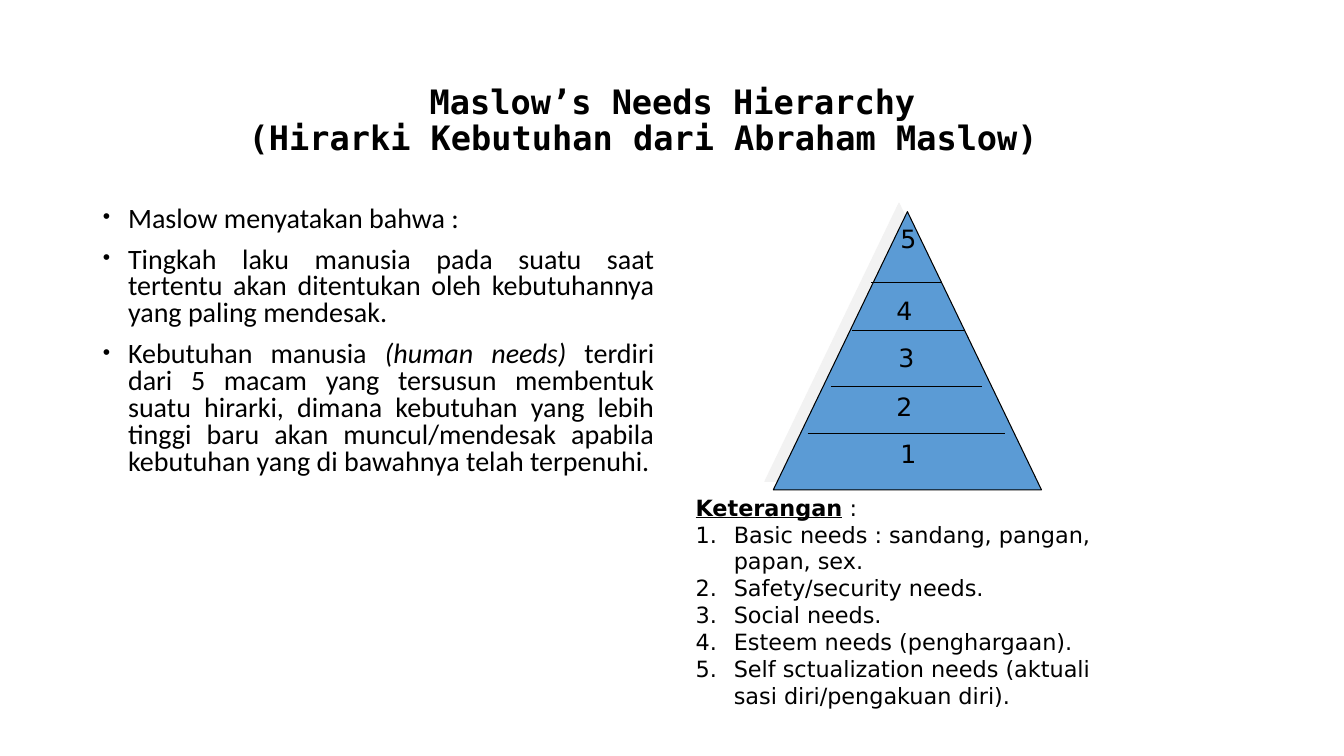
from dataclasses import dataclass
from typing import Any

import pptx
import pptx.dml.color
import pptx.enum.shapes
import pptx.enum.text
import pptx.oxml
import pptx.oxml.ns
import pptx.util

Inches = pptx.util.Inches
Pt = pptx.util.Pt
Align = pptx.enum.text.PP_ALIGN
Anchor = pptx.enum.text.MSO_ANCHOR
AutoSize = pptx.enum.text.MSO_AUTO_SIZE

BLACK = "000000"
BLUE = "5B9BD5"
SHADOW = "E7E6E6"
SANS = "DejaVu Sans"
MONO = "DejaVu Sans Mono"


@dataclass
class Level:
    number: str
    left: float
    top: float


@dataclass
class Divider:
    x1: float
    x2: float
    y: float


LEVELS = [
    Level("1", 8.83, 4.3),
    Level("2", 8.79, 3.83),
    Level("3", 8.81, 3.35),
    Level("4", 8.79, 2.88),
    Level("5", 8.83, 2.17),
]
DIVIDERS = [
    Divider(8.01, 9.97, 4.3),
    Divider(8.24, 9.74, 3.83),
    Divider(8.45, 9.57, 3.28),
    Divider(8.64, 9.34, 2.8),
]
TITLE = ["Maslow’s Needs Hierarchy", "(Hirarki Kebutuhan dari Abraham Maslow)"]
BODY = [
    [("Maslow menyatakan bahwa :", False)],
    [("Tingkah laku manusia pada suatu saat tertentu akan ditentukan oleh "
      "kebutuhannya yang paling mendesak.", False)],
    [("Kebutuhan manusia ", False), ("(human needs)", True),
     (" terdiri dari 5 macam yang tersusun membentuk suatu hirarki, dimana "
      "kebutuhan yang lebih tinggi baru akan muncul/mendesak apabila kebutuhan "
      "yang di bawahnya telah terpenuhi.", False)],
]
NEEDS = [
    ["Basic needs : sandang, pangan,", "papan, sex."],
    ["Safety/security needs."],
    ["Social needs."],
    ["Esteem needs (penghargaan)."],
    ["Self sctualization needs (aktuali", "sasi diri/pengakuan diri)."],
]


def rgb(color: str) -> pptx.dml.color.RGBColor:
    return pptx.dml.color.RGBColor.from_string(color)


def place(sp: Any, left: float, top: float, width: float, height: float) -> None:
    sp.left, sp.top = Inches(left), Inches(top)
    sp.width, sp.height = Inches(width), Inches(height)


def add_xml(parent: Any, xml: str) -> None:
    tag, rest = xml.split(" ", 1)
    ns = pptx.oxml.ns.nsdecls("a")
    parent.append(pptx.oxml.parse_xml(f"{tag} {ns} {rest}"))


def add_run(p: Any, text: str, size: float, font: str, bold: bool = False,
            italic: bool = False, underline: bool = False) -> None:
    r = p.add_run()
    r.text = text
    r.font.size, r.font.name = Pt(size), font
    r.font.bold, r.font.italic, r.font.underline = bold, italic, underline
    r.font.color.rgb = rgb(BLACK)


def add_paragraph(tf: Any, index: int) -> Any:
    return tf.add_paragraph() if index else tf.paragraphs[0]


def set_indent(p: Any, left: float, first: float) -> Any:
    pPr = p._p.get_or_add_pPr()
    pPr.set("marL", str(Inches(left)))
    pPr.set("indent", str(Inches(first)))
    return pPr


def add_title(sp: Any) -> None:
    place(sp, 2.17, 0.66, 8.42, 0.96)
    tf = sp.text_frame
    tf.auto_size, tf.vertical_anchor = AutoSize.NONE, Anchor.BOTTOM
    for i, line in enumerate(TITLE):
        p = add_paragraph(tf, i)
        set_indent(p, 0 if i else 0.58, 0)
        p.alignment, p.line_spacing = Align.CENTER, 0.9
        p.space_before = Pt(0)
        add_run(p, line, 24, MONO, bold=True)


def add_body(sp: Any) -> None:
    place(sp, 0.92, 2, 5.67, 4.76)
    tf = sp.text_frame
    tf.auto_size = AutoSize.NONE
    for i, runs in enumerate(BODY):
        p = add_paragraph(tf, i)
        pPr = set_indent(p, 0.25, -0.25)
        add_xml(pPr, '<a:buSzPct val="75000"/>')
        add_xml(pPr, '<a:buFont typeface="Arial"/>')
        add_xml(pPr, '<a:buChar char="•"/>')
        p.alignment, p.line_spacing = Align.JUSTIFY, 0.8
        p.space_before = Pt(10 if i else 0)
        for text, italic in runs:
            add_run(p, text, 20, "Calibri", italic=italic)


def add_pyramid(s: Any) -> None:
    shape = pptx.enum.shapes.MSO_SHAPE.ISOSCELES_TRIANGLE
    sp = s.shapes.add_shape(shape, Inches(7.67), Inches(2.1), Inches(2.66), Inches(2.76))
    sp.fill.solid()
    sp.fill.fore_color.rgb = rgb(BLUE)
    sp.line.color.rgb = rgb(BLACK)
    sp.line.width = Pt(0.75)
    sp.shadow.inherit = False
    effects = sp._element.spPr.find(pptx.oxml.ns.qn("a:effectLst"))
    add_xml(effects, f'<a:outerShdw blurRad="0" dist="{Pt(8.5)}" dir="{225 * 60000}" '
                     f'algn="ctr" rotWithShape="0"><a:srgbClr val="{SHADOW}">'
                     '<a:alpha val="50000"/></a:srgbClr></a:outerShdw>')


def add_divider(s: Any, divider: Divider) -> None:
    line = s.shapes.add_connector(
        pptx.enum.shapes.MSO_CONNECTOR.STRAIGHT, Inches(divider.x1),
        Inches(divider.y), Inches(divider.x2), Inches(divider.y))
    line.line.color.rgb = rgb(BLACK)
    line.line.width = Pt(0.75)
    add_xml(line._element.spPr, "<a:effectLst />")


def add_level(s: Any, level: Level) -> None:
    sp = s.shapes.add_textbox(
        Inches(level.left), Inches(level.top), Inches(0.36), Inches(0.4))
    tf = sp.text_frame
    tf.word_wrap, tf.auto_size = False, AutoSize.SHAPE_TO_FIT_TEXT
    p = tf.paragraphs[0]
    p.alignment = Align.CENTER
    add_run(p, level.number, 18, SANS)


def add_legend(s: Any) -> None:
    sp = s.shapes.add_textbox(Inches(6.8), Inches(4.85), Inches(4.35), Inches(2.25))
    tf = sp.text_frame
    tf.word_wrap, tf.auto_size = True, AutoSize.SHAPE_TO_FIT_TEXT
    p = tf.paragraphs[0]
    add_run(p, "Keterangan", 16, SANS, bold=True, underline=True)
    add_run(p, " :", 16, SANS)
    for lines in NEEDS:
        p = tf.add_paragraph()
        pPr = set_indent(p, 0.38, -0.38)
        add_xml(pPr, '<a:buFont typeface="+mj-lt"/>')
        add_xml(pPr, '<a:buAutoNum type="arabicPeriod"/>')
        for i, line in enumerate(lines):
            if i:
                p.add_line_break()
            add_run(p, line, 16, SANS)


def main() -> None:
    prs = pptx.Presentation()
    prs.slide_width, prs.slide_height = Inches(13.33), Inches(7.5)
    s = prs.slides.add_slide(prs.slide_layouts[1])
    add_title(s.shapes.title)
    add_body(s.placeholders[1])
    add_pyramid(s)
    for divider in DIVIDERS:
        add_divider(s, divider)
    for level in LEVELS:
        add_level(s, level)
    add_legend(s)
    prs.save("out.pptx")


if __name__ == "__main__":
    main()
